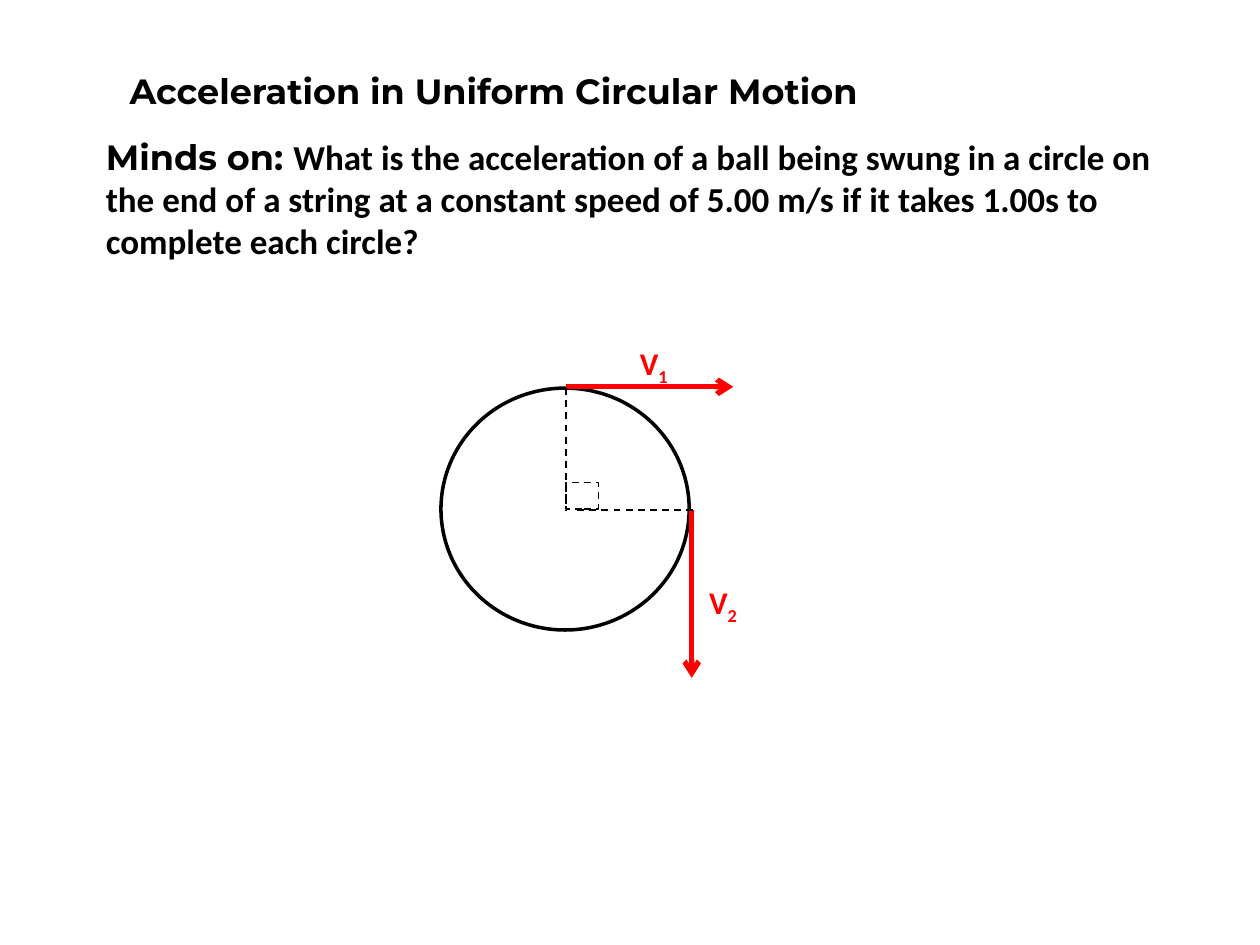
from pptx import Presentation
from pptx.dml.color import RGBColor
from pptx.enum.dml import MSO_LINE_DASH_STYLE as Dash
from pptx.enum.shapes import MSO_CONNECTOR as Connector, MSO_SHAPE as Shape
from pptx.enum.text import MSO_ANCHOR as Anchor, MSO_AUTO_SIZE as AutoSize, PP_ALIGN as Align
from pptx.oxml.ns import qn
from pptx.util import Inches, Pt
from lxml.etree import SubElement

BLACK, RED = "000000", "FF0000"


def color(value):
    return RGBColor.from_string(value)


def write(paragraph, text, font="Calibri", size=20, fill=BLACK, baseline=None):
    run = paragraph.add_run()
    run.text = text
    run.font.name = font
    run.font.size = Pt(size)
    run.font.bold = True
    run.font.color.rgb = color(fill)
    if baseline:
        run.font._element.set("baseline", str(baseline))


presentation = Presentation()
presentation.slide_width = Inches(10)
presentation.slide_height = Inches(7.5)
slide = presentation.slides.add_slide(presentation.slide_layouts[0])
subtitle = slide.placeholders[1]._element
subtitle.getparent().remove(subtitle)

question = slide.shapes.title
question.left, question.top = Inches(0.74), Inches(0.77)
question.width, question.height = Inches(8.5), Inches(1.61)
heading = slide.shapes.add_textbox(Inches(0.93), Inches(-0.09), Inches(8.5), Inches(1.61))
for shape in (question, heading):
    frame = shape.text_frame
    frame.word_wrap = True
    frame.auto_size = AutoSize.NONE
    frame.vertical_anchor = Anchor.MIDDLE
    frame.paragraphs[0].alignment = Align.LEFT

paragraph = question.text_frame.paragraphs[0]
write(paragraph, "Minds on: ", font="Montserrat")
write(paragraph, "What is the acceleration of a ball being swung in a circle on the end of a string "
                 "at a constant speed of 5.00 m/s if it takes 1.00s to complete each circle?")
write(heading.text_frame.paragraphs[0], "Acceleration in Uniform Circular Motion", font="Montserrat")

outlines = [
    (Shape.RECTANGLE, 4.49, 3.83, 0.26, 0.21, 1, Dash.DASH),
    (Shape.OVAL, 3.5, 3.08, 1.97, 1.92, 2, Dash.SOLID),
]
for kind, left, top, width, height, weight, dash in outlines:
    shape = slide.shapes.add_shape(kind, Inches(left), Inches(top), Inches(width), Inches(height))
    shape.shadow.inherit = False
    shape.fill.background()
    shape.line.color.rgb = color(BLACK)
    shape.line.width = Pt(weight)
    shape.line.dash_style = dash

lines = [
    (4.49, 3.07, 5.82, 3.07, True),
    (5.49, 4.05, 5.49, 5.38, True),
    (4.49, 3.08, 4.49, 4.05, False),
    (4.58, 4.05, 5.53, 4.05, False),
]
for x1, y1, x2, y2, is_velocity in lines:
    connector = slide.shapes.add_connector(
        Connector.STRAIGHT, Inches(x1), Inches(y1), Inches(x2), Inches(y2))
    connector.line.color.rgb = color(RED if is_velocity else BLACK)
    connector.line.width = Pt(3 if is_velocity else 1)
    if is_velocity:
        SubElement(connector.line._get_or_add_ln(), qn("a:tailEnd"), type="arrow")
    else:
        connector.line.dash_style = Dash.DASH
    SubElement(connector._element.spPr, qn("a:effectLst"))

for index, left, top in (("1", 4.98, 2.68), ("2", 5.53, 4.58)):
    label = slide.shapes.add_textbox(Inches(left), Inches(top), Inches(0.44), Inches(0.4))
    label.text_frame.word_wrap = False
    label.text_frame.auto_size = AutoSize.SHAPE_TO_FIT_TEXT
    paragraph = label.text_frame.paragraphs[0]
    write(paragraph, "V", size=18, fill=RED)
    write(paragraph, index, size=18, fill=RED, baseline=-25000)

presentation.save("out.pptx")
